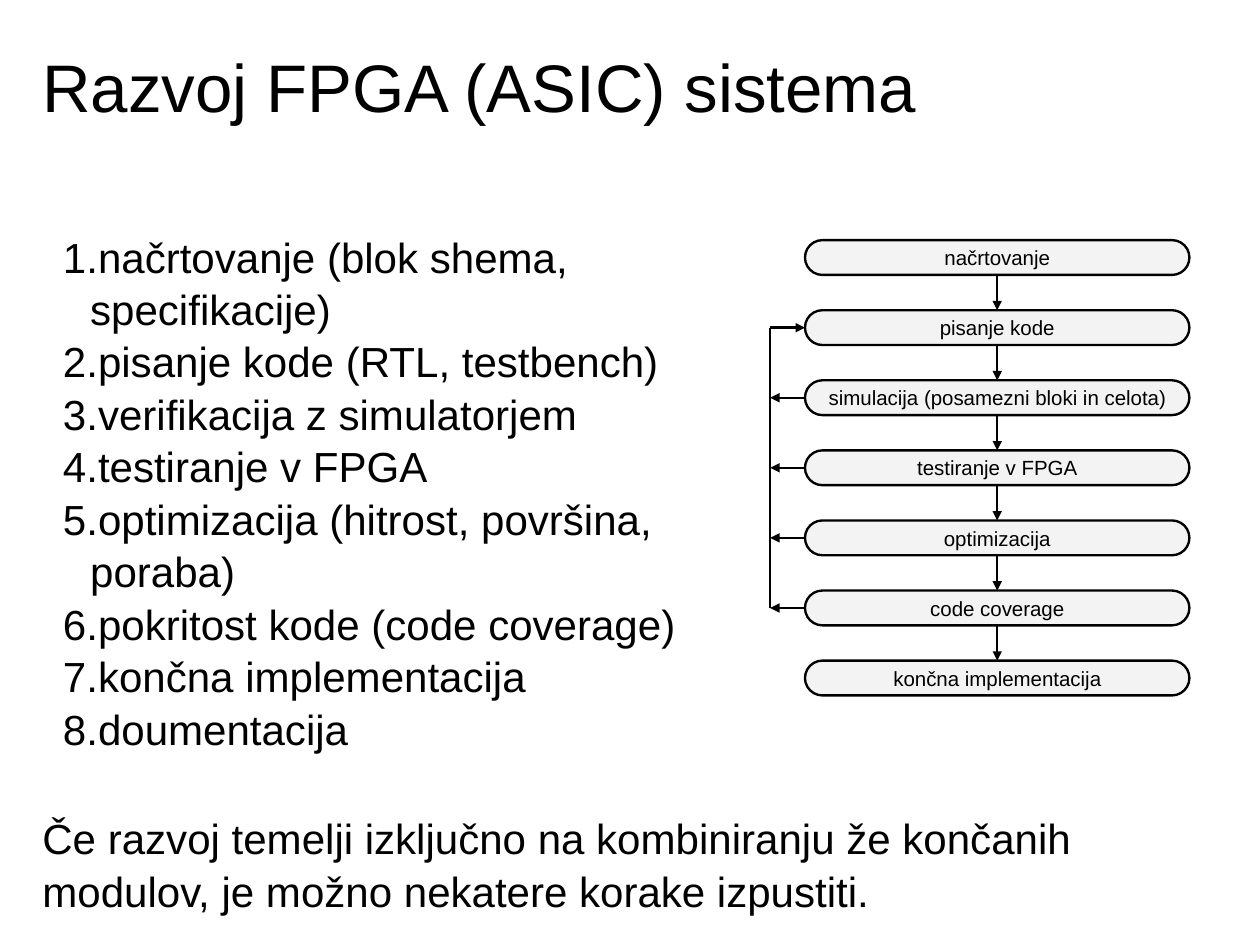
from lxml import etree
from pptx import Presentation
from pptx.dml.color import RGBColor
from pptx.enum.shapes import MSO_CONNECTOR, MSO_SHAPE
from pptx.enum.text import MSO_ANCHOR, MSO_AUTO_SIZE, PP_ALIGN
from pptx.oxml.ns import qn
from pptx.util import Cm, Pt

STRAIGHT = MSO_CONNECTOR.STRAIGHT
ROUNDED = MSO_SHAPE.ROUNDED_RECTANGLE
TOP, MIDDLE = MSO_ANCHOR.TOP, MSO_ANCHOR.MIDDLE
LEFT, CENTER = PP_ALIGN.LEFT, PP_ALIGN.CENTER
TOP_SIDE, LEFT_SIDE, BOTTOM_SIDE = 0, 1, 2

# Content
TITLE = "Razvoj FPGA (ASIC) sistema"
STEPS = [
    "načrtovanje (blok shema, specifikacije)",
    "pisanje kode (RTL, testbench)",
    "verifikacija z simulatorjem",
    "testiranje v FPGA",
    "optimizacija (hitrost, površina, poraba)",
    "pokritost kode (code coverage)",
    "končna implementacija",
    "doumentacija",
]
NOTE = ("Če razvoj temelji izključno na kombiniranju že končanih modulov, "
        "je možno nekatere korake izpustiti.")
STAGES = [
    "načrtovanje",
    "pisanje kode",
    "simulacija (posamezni bloki in celota)",
    "testiranje v FPGA",
    "optimizacija",
    "code coverage",
    "končna implementacija",
]
RETURN_TARGET = 1
RETURN_SOURCES = (2, 3, 4, 5)

# Layout in centimetres
STAGE_LEFT, STAGE_TOP, STAGE_WIDTH, STAGE_HEIGHT = 18.03, 5.38, 8.61, 0.78
STAGE_PITCH = 1.57
RETURN_X = 17.25
BLACK, PALE = "000000", "F3F3F3"


def color(value):
    return RGBColor.from_string(value)


def write_text(shape, lines, size, align=LEFT, anchor=TOP, inset=(0.1, 0.1),
               spacing=1.04, numbered=False):
    frame = shape.text_frame
    frame.word_wrap = True
    frame.auto_size = MSO_AUTO_SIZE.NONE
    frame.vertical_anchor = anchor
    frame.margin_left = frame.margin_right = Cm(inset[0])
    frame.margin_top = frame.margin_bottom = Cm(inset[1])
    for index, line in enumerate(lines):
        paragraph = frame.add_paragraph() if index else frame.paragraphs[0]
        paragraph.alignment = align
        paragraph.line_spacing = spacing
        paragraph.space_before = Pt(0)
        run = paragraph.add_run()
        run.text = line
        run.font.name = "Arial"
        run.font.size = Pt(size)
        run.font.color.rgb = color(BLACK)
        if numbered:
            properties = paragraph._p.get_or_add_pPr()
            properties.set("marL", str(Cm(1.07)))
            properties.set("indent", str(Cm(-0.61)))
            etree.SubElement(properties, qn("a:buAutoNum"), type="arabicPeriod")


def add_line(slide, start, end, arrow=True):
    connector = slide.shapes.add_connector(
        STRAIGHT, *(Cm(value) for value in (*start, *end)))
    connector.line.color.rgb = color(BLACK)
    connector.line.width = Pt(1.5)
    if arrow:
        etree.SubElement(connector.line._get_or_add_ln(), qn("a:tailEnd"),
                         type="triangle")
    etree.SubElement(connector._element.spPr, qn("a:effectLst"))
    return connector


def add_stage(slide, text, top):
    shape = slide.shapes.add_shape(ROUNDED, Cm(STAGE_LEFT), Cm(top),
                                   Cm(STAGE_WIDTH), Cm(STAGE_HEIGHT))
    shape.adjustments[0] = 0.5
    shape.shadow.inherit = False
    shape.fill.solid()
    shape.fill.fore_color.rgb = color(PALE)
    shape.line.color.rgb = color(BLACK)
    shape.line.width = Pt(1.5)
    write_text(shape, [text], 13, align=CENTER, anchor=MIDDLE,
               inset=(0.25, 0), spacing=1.0)
    return shape


def main():
    presentation = Presentation()
    presentation.slide_width, presentation.slide_height = Cm(28.22), Cm(21.17)
    slide = presentation.slides.add_slide(presentation.slide_layouts[5])

    # Title, numbered steps and closing note
    title = slide.shapes.title
    title.left, title.top = Cm(0.85), Cm(0.85)
    title.width, title.height = Cm(26.75), Cm(2.75)
    write_text(title, [TITLE], 42.7)
    steps = slide.shapes.add_textbox(Cm(0.85), Cm(5.03), Cm(14.5), Cm(12.67))
    write_text(steps, STEPS, 26.7, numbered=True)
    note = slide.shapes.add_textbox(Cm(0.85), Cm(18.06), Cm(26.34), Cm(2.5))
    write_text(note, [NOTE], 26.7)

    # Flow of stages
    tops = [STAGE_TOP + index * STAGE_PITCH for index in range(len(STAGES))]
    middles = [top + STAGE_HEIGHT / 2 for top in tops]
    stages = [add_stage(slide, text, top) for text, top in zip(STAGES, tops)]
    center = STAGE_LEFT + STAGE_WIDTH / 2
    for index in range(len(stages) - 1):
        arrow = add_line(slide, (center, tops[index] + STAGE_HEIGHT),
                         (center, tops[index + 1]))
        arrow.begin_connect(stages[index], BOTTOM_SIDE)
        arrow.end_connect(stages[index + 1], TOP_SIDE)

    # Return path to writing code
    target_y = middles[RETURN_TARGET]
    add_line(slide, (RETURN_X, target_y),
             (RETURN_X, middles[RETURN_SOURCES[-1]]), arrow=False)
    entry = add_line(slide, (RETURN_X, target_y), (STAGE_LEFT, target_y))
    entry.end_connect(stages[RETURN_TARGET], LEFT_SIDE)
    for index in RETURN_SOURCES:
        branch = add_line(slide, (STAGE_LEFT, middles[index]),
                          (RETURN_X, middles[index]))
        branch.begin_connect(stages[index], LEFT_SIDE)

    presentation.save("out.pptx")


if __name__ == "__main__":
    main()
